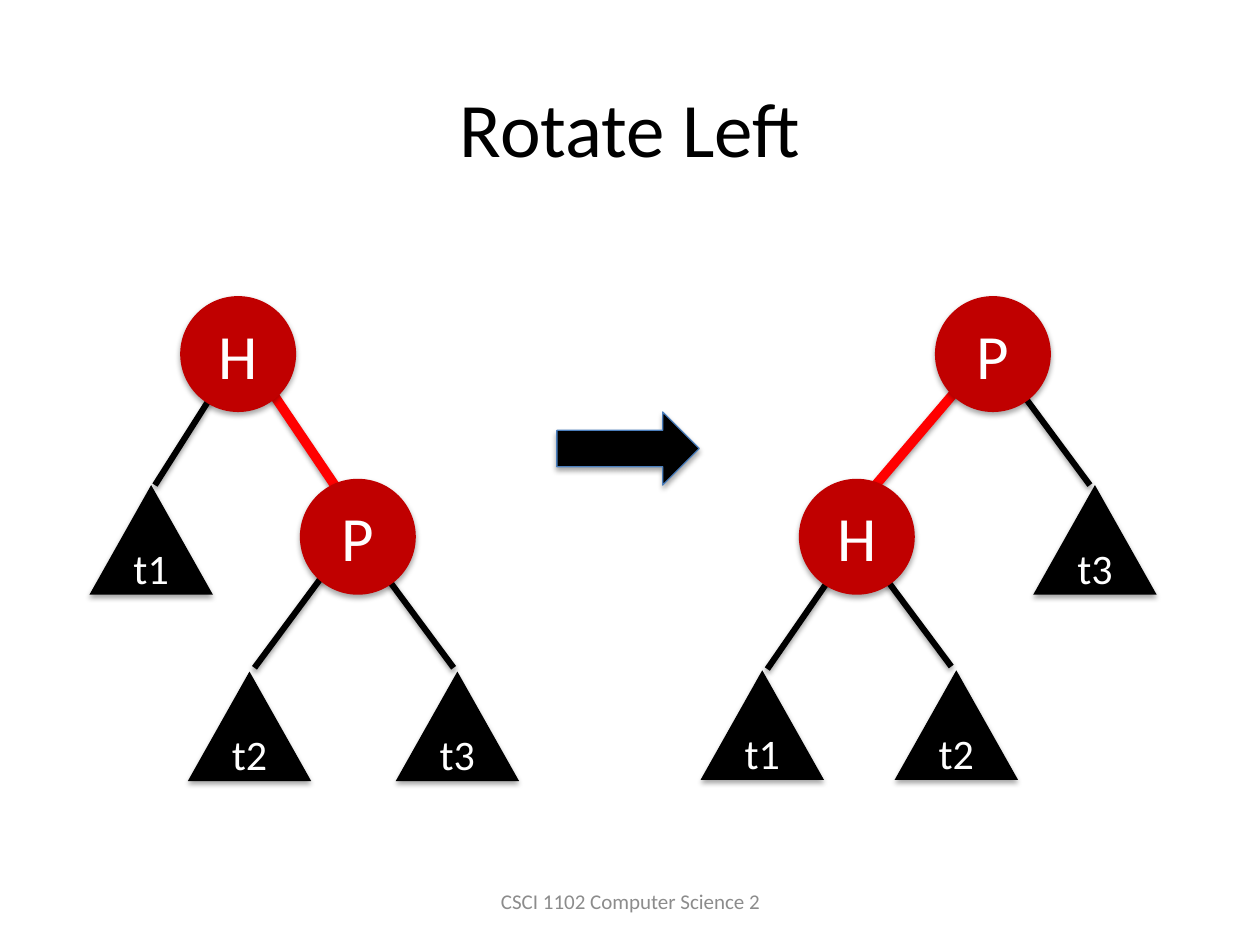
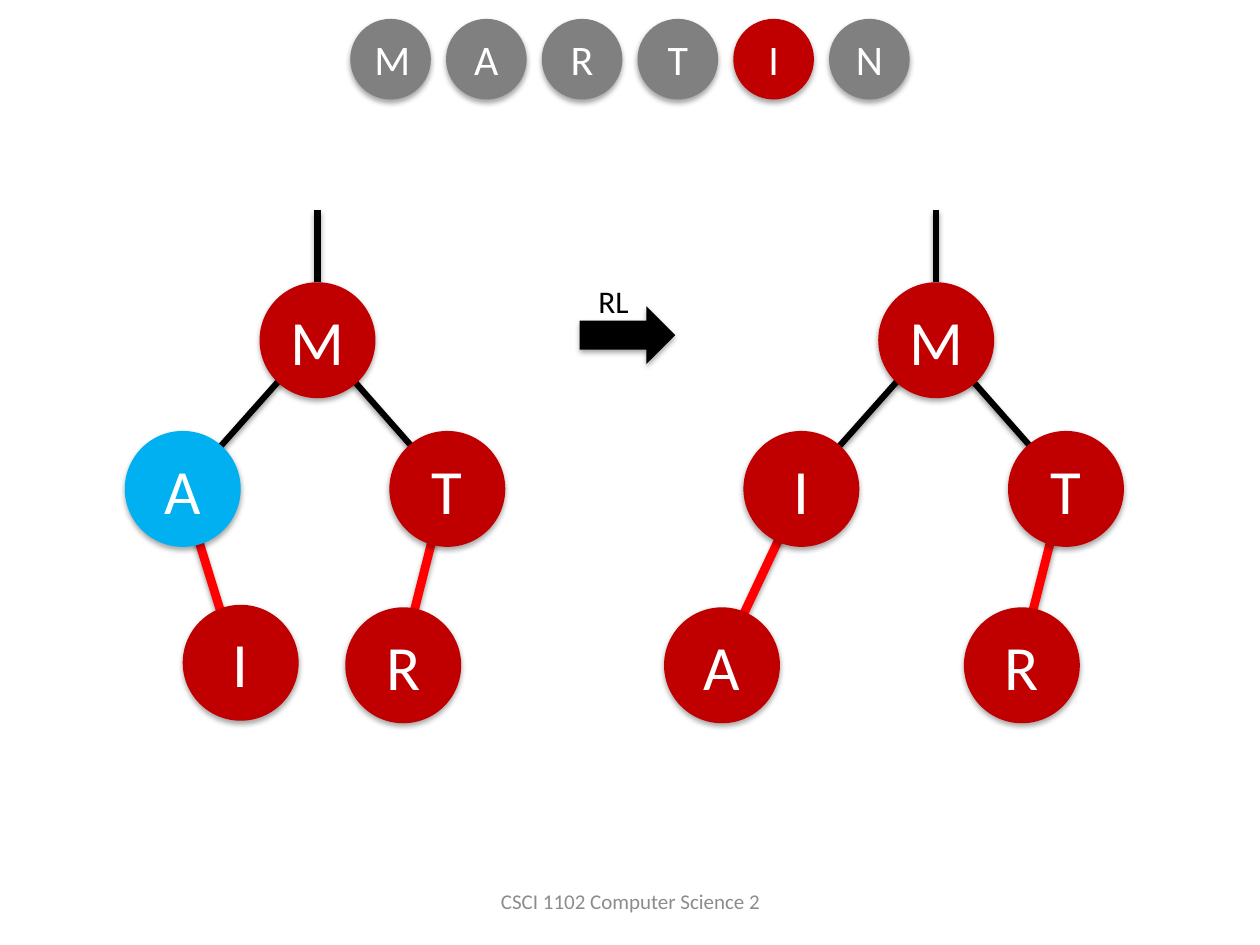
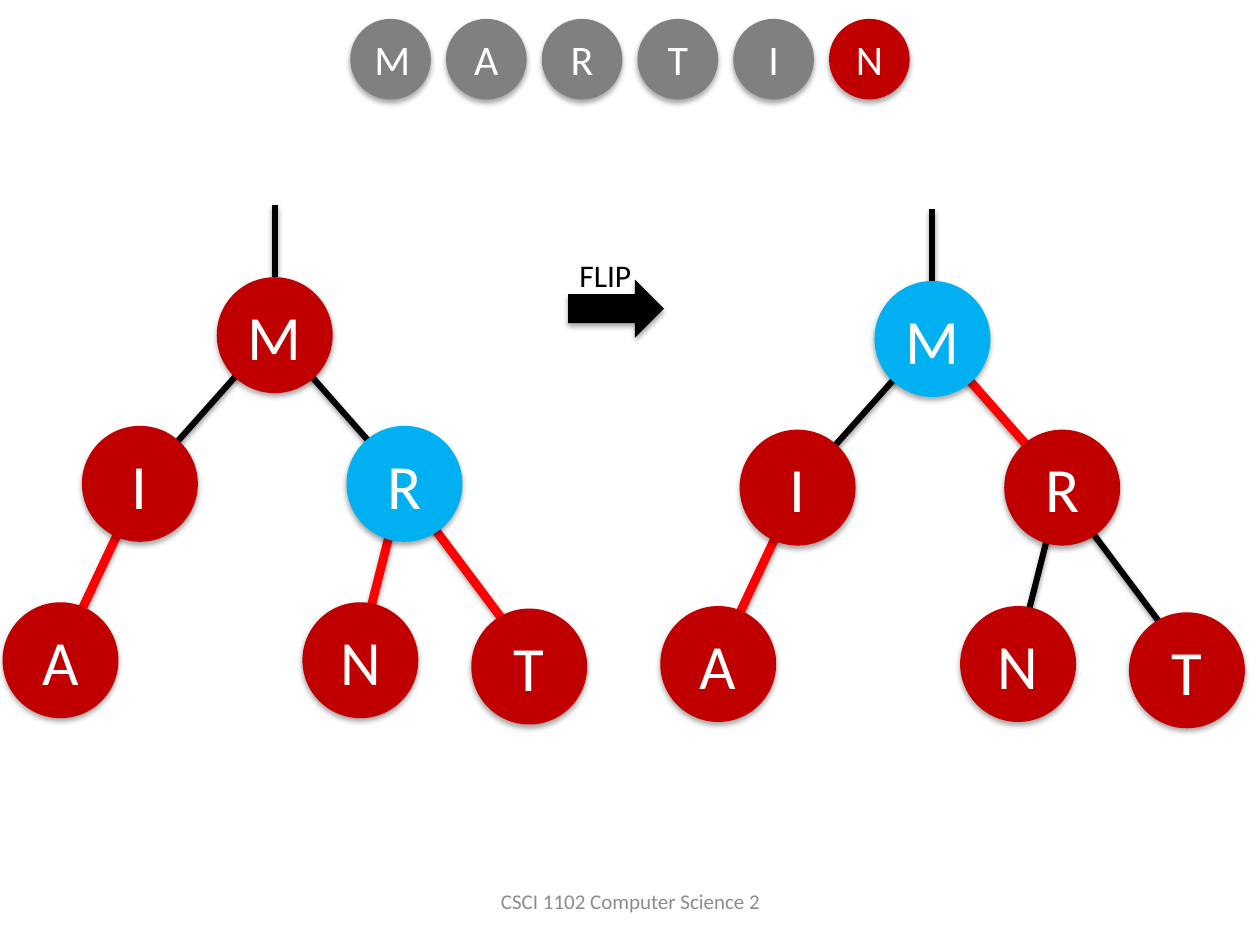
"""Build three slides on rotations and colour flips in red-black trees."""
from typing import Any, NamedTuple

from lxml import etree
from pptx import Presentation
from pptx import util as u
from pptx.dml.color import RGBColor
from pptx.enum import shapes as sh
from pptx.enum import text as tx
from pptx.oxml import ns

SCALE = 9144
FONT = "Calibri"
FOOTER = "CSCI 1102 Computer Science 2"
WORD = "MARTIN"

BLACK = RGBColor(0x00, 0x00, 0x00)
WHITE = RGBColor(0xFF, 0xFF, 0xFF)
DARK = RGBColor(0xC0, 0x00, 0x00)
RED = RGBColor(0xFF, 0x00, 0x00)
SKY = RGBColor(0x00, 0xB0, 0xF0)
GREY = RGBColor(0x80, 0x80, 0x80)
PALE = RGBColor(0x8C, 0x8C, 0x8C)
RIM = RGBColor(0x4B, 0x7E, 0xBC)

DISC = sh.MSO_SHAPE.OVAL
WEDGE = sh.MSO_SHAPE.ISOSCELES_TRIANGLE
ARROW = sh.MSO_SHAPE.RIGHT_ARROW
NODE = 92
TOKEN = 64
PITCH = 76


class Box(NamedTuple):
    """A place on the slide in px."""

    left: int
    top: int
    width: int
    height: int


class Edge(NamedTuple):
    """The two ends of a branch in px."""

    x1: int
    y1: int
    x2: int
    y2: int


class Slot(NamedTuple):
    """A node centre and its branch, both relative to the root."""

    x: int
    y: int
    edge: Edge


class Leaf(NamedTuple):
    """A node hung in a slot, with its branch colour."""

    tag: str
    slot: str
    fill: RGBColor = DARK
    link: RGBColor = BLACK


class Tree(NamedTuple):
    """A tree of lettered nodes around a root centre."""

    x: int
    y: int
    root: RGBColor
    leaves: list[Leaf]


class Turn(NamedTuple):
    """A tree of two discs and three subtrees, before or after rotation."""

    edges: list[Edge]
    link: Edge
    discs: list[tuple[str, int, int]]
    wedges: list[tuple[str, int, int]]


class Step(NamedTuple):
    """One slide showing a step of the insertion."""

    now: str
    name: str
    label: Box
    arrow: Box
    trees: list[Tree]


STEM = Edge(0, -103, 0, -46)
SLOTS = {
    "L": Slot(-107, 118, Edge(-107, 118, -2, 0)),
    "R": Slot(103, 118, Edge(101, 114, -4, -5)),
    "LL": Slot(-170, 258, Edge(-171, 256, -106, 118)),
    "LR": Slot(-61, 256, Edge(-63, 260, -107, 118)),
    "RL": Slot(68, 258, Edge(59, 285, 100, 123)),
    "RR": Slot(202, 263, Edge(208, 262, 98, 115)),
}

TURNS = [
    Turn(
        [Edge(279, 426, 202, 530), Edge(189, 281, 123, 385), Edge(283, 426, 360, 530)],
        Edge(192, 276, 275, 399),
        [("H", 189, 281), ("P", 284, 426)],
        [("t3", 314, 533), ("t2", 149, 533), ("t1", 71, 385)],
    ),
    Turn(
        [Edge(676, 434, 609, 531), Edge(685, 435, 755, 529), Edge(788, 281, 865, 385)],
        Edge(787, 277, 683, 399),
        [("P", 788, 281), ("H", 680, 426)],
        [("t3", 820, 385), ("t2", 710, 532), ("t1", 556, 532)],
    ),
]

STEPS = [
    Step("I", "RL", Box(465, 219, 45, 40), Box(460, 243, 76, 46), [
        Tree(252, 270, DARK, [
            Leaf("A", "L", SKY), Leaf("T", "R"),
            Leaf("R", "RL", link=RED), Leaf("I", "LR", link=RED)]),
        Tree(743, 270, DARK, [
            Leaf("I", "L"), Leaf("T", "R"),
            Leaf("R", "RL", link=RED), Leaf("A", "LL", link=RED)]),
    ]),
    Step("N", "FLIP", Box(450, 198, 62, 40), Box(451, 222, 76, 46), [
        Tree(740, 269, SKY, [
            Leaf("I", "L"), Leaf("R", "R", link=RED), Leaf("N", "RL"),
            Leaf("T", "RR"), Leaf("A", "LL", link=RED)]),
        Tree(218, 266, DARK, [
            Leaf("I", "L"), Leaf("R", "R", SKY), Leaf("N", "RL", link=RED),
            Leaf("T", "RR", link=RED), Leaf("A", "LL", link=RED)]),
    ]),
]


def px(n: int) -> u.Emu:
    """Turn px into EMU."""
    return u.Emu(n * SCALE)


def emu(box: Box) -> list[u.Emu]:
    """Turn a box into EMU lengths."""
    return [px(n) for n in box]


def shade(shape: Any, alpha: int, dist: int) -> None:
    """Add a soft shadow below a shape."""
    effects = etree.SubElement(shape._element.spPr, ns.qn("a:effectLst"))
    outer = etree.SubElement(effects, ns.qn("a:outerShdw"), blurRad="40000",
                             dist=str(dist), dir="5400000", rotWithShape="0")
    tone = etree.SubElement(outer, ns.qn("a:srgbClr"), val=str(BLACK))
    etree.SubElement(tone, ns.qn("a:alpha"), val=str(alpha * 1000))


def write(shape: Any, words: str, size: int, color: RGBColor,
          center: bool = True) -> None:
    """Put one line of text in a shape."""
    frame = shape.text_frame
    frame.text = words
    if center:
        frame.vertical_anchor = tx.MSO_ANCHOR.MIDDLE
        frame.paragraphs[0].alignment = tx.PP_ALIGN.CENTER
    font = frame.paragraphs[0].runs[0].font
    font.name, font.size, font.color.rgb = FONT, u.Pt(size), color


def mark(group: Any, form: sh.MSO_SHAPE, box: Box, fill: RGBColor,
         rim: RGBColor | None = None) -> Any:
    """Draw a filled shape with a shadow."""
    shape = group.add_shape(form, *emu(box))
    shape.fill.solid()
    shape.fill.fore_color.rgb = fill
    if rim is None:
        shape.line.fill.background()
    else:
        shape.line.color.rgb = rim
        shape.line.width = u.Pt(0.75)
    shade(shape, 35, 23000)
    return shape


def node(group: Any, tag: str, x: int, y: int, fill: RGBColor) -> None:
    """Draw a lettered disc around a centre."""
    half = NODE // 2
    disc = mark(group, DISC, Box(x - half, y - half, NODE, NODE), fill)
    write(disc, tag, 36, WHITE)


def branch(group: Any, edge: Edge, color: RGBColor = BLACK,
           width: float = 3.5, x: int = 0, y: int = 0) -> None:
    """Draw a branch, shifted by a root centre."""
    line = group.add_connector(sh.MSO_CONNECTOR.STRAIGHT, px(x + edge.x1),
                               px(y + edge.y1), px(x + edge.x2), px(y + edge.y2))
    line.line.color.rgb = color
    line.line.width = u.Pt(width)
    shade(line, 38, 20000)


def grow(slide: Any, tree: Tree) -> None:
    """Draw a tree with its branches behind its nodes."""
    group = slide.shapes.add_group_shape().shapes
    for leaf in reversed(tree.leaves):
        width = 5 if leaf.link == RED else 3.5
        branch(group, SLOTS[leaf.slot].edge, leaf.link, width, tree.x, tree.y)
    branch(group, STEM, x=tree.x, y=tree.y)
    node(group, "M", tree.x, tree.y, tree.root)
    for leaf in tree.leaves:
        slot = SLOTS[leaf.slot]
        node(group, leaf.tag, tree.x + slot.x, tree.y + slot.y, leaf.fill)


def rotate(slide: Any, turn: Turn) -> None:
    """Draw one side of the rotation."""
    group = slide.shapes.add_group_shape().shapes
    for edge in turn.edges:
        branch(group, edge)
    branch(group, turn.link, RED, 5.5)
    for tag, x, y in turn.discs:
        node(group, tag, x, y, DARK)
    for tag, left, top in turn.wedges:
        write(mark(group, WEDGE, Box(left, top, 98, 87), BLACK), tag, 24, WHITE)


def spell(slide: Any, now: str) -> None:
    """Draw the row of letters and stress the current one."""
    group = slide.shapes.add_group_shape().shapes
    for i, tag in enumerate(WORD):
        box = Box(278 + i * PITCH, 15, TOKEN, TOKEN)
        write(mark(group, DISC, box, DARK if tag == now else GREY), tag, 24, WHITE)


def start(deck: Any, layout: int) -> Any:
    """Add a slide with the footer."""
    slide = deck.slides.add_slide(deck.slide_layouts[layout])
    foot = slide.shapes.add_textbox(*emu(Box(342, 695, 317, 40)))
    foot.text_frame.word_wrap = True
    write(foot, FOOTER, 12, PALE)
    return slide


def main() -> None:
    """Build and save the deck."""
    deck = Presentation()
    deck.slide_width, deck.slide_height = px(1000), px(750)

    slide = start(deck, 5)
    title = slide.shapes.title
    title.left, title.top, title.width, title.height = emu(Box(50, 38, 900, 125))
    write(title, "Rotate Left", 44, BLACK)
    for turn in TURNS:
        rotate(slide, turn)
    mark(slide.shapes, ARROW, Box(442, 327, 113, 58), BLACK, RIM)

    for step in STEPS:
        slide = start(deck, 6)
        spell(slide, step.now)
        mark(slide.shapes, ARROW, step.arrow, BLACK)
        label = slide.shapes.add_textbox(*emu(step.label))
        label.text_frame.word_wrap = False
        write(label, step.name, 18, BLACK, center=False)
        for tree in step.trees:
            grow(slide, tree)

    deck.save("out.pptx")


if __name__ == "__main__":
    main()
